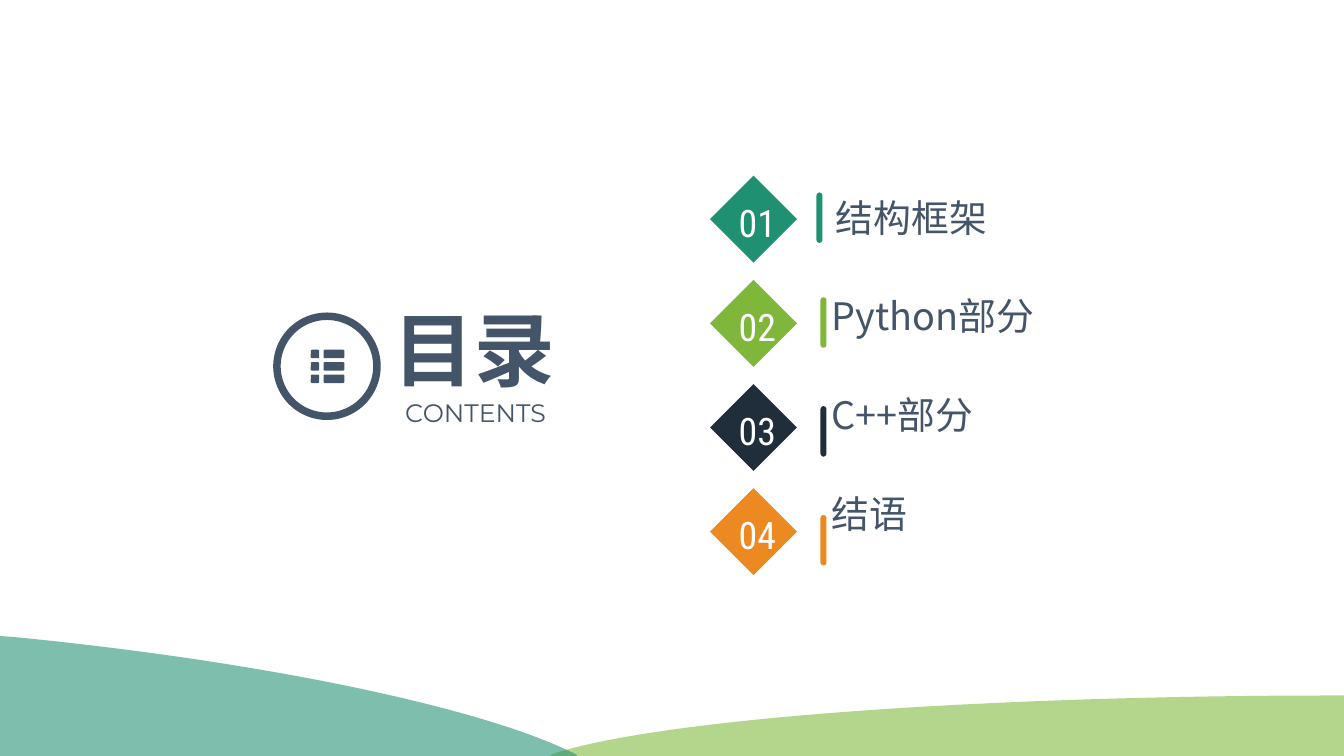
"""Builds the contents slide with a title badge, four numbered entries and two hills."""
from lxml import etree
from pptx import Presentation
from pptx.dml.color import RGBColor
from pptx.enum.shapes import MSO_SHAPE
from pptx.enum.text import MSO_ANCHOR, MSO_AUTO_SIZE, PP_ALIGN
from pptx.oxml.ns import qn
from pptx.util import Inches, Pt

RECTANGLE = MSO_SHAPE.RECTANGLE
ROUNDED = MSO_SHAPE.ROUNDED_RECTANGLE
DONUT = MSO_SHAPE.DONUT
TOP = MSO_ANCHOR.TOP
NO_AUTOFIT = MSO_AUTO_SIZE.NONE
LEFT, CENTER = PP_ALIGN.LEFT, PP_ALIGN.CENTER

COLUMNS, ROWS = 80, 45
CURVE_STEPS = 100
COLORS = {
    "slate": "445469",
    "white": "FFFFFF",
    "teal": "209072",
    "green": "7EB739",
    "navy": "202D3A",
    "orange": "EC8921",
}
FONTS = {
    "title": {"name": "Noto Sans CJK SC", "size": Pt(57.5), "bold": True},
    "entry": {"name": "Noto Sans CJK SC", "size": Pt(27), "bold": False},
    "number": {"name": "Roboto Condensed", "size": Pt(27)},
    "subtitle": {"name": "Montserrat", "size": Pt(18)},
}
FRAMES = {
    "title": {"margin_left": 0, "margin_right": 0, "margin_top": 0,
              "margin_bottom": 0, "word_wrap": False},
    "entry": {"margin_left": Inches(0.12), "margin_right": Inches(0.12),
              "margin_top": Inches(0.06), "margin_bottom": Inches(0.06),
              "word_wrap": True},
    "number": {"word_wrap": True},
    "subtitle": {"word_wrap": True},
}
ENTRIES = [
    ("结构框架", "teal", 48.6, 11.46),
    ("Python部分", "green", 48.84, 17.7),
    ("C++部分", "navy", 48.84, 24.18),
    ("结语", "orange", 48.84, 30.66),
]
NUMBER_PITCH = 6.2
ICON_COLUMNS = [(18.5, 0.5), (19.26, 1.24)]
HILLS = [
    ("green", [(30.72, 46.38), (30.72, 43.56), (52.68, 41.4), (79.8, 41.4)],
     [(80, 41.4), (80, ROWS)]),
    ("teal", [(36.78, 47.4), (37.08, 44.16), (21.06, 39.9), (0.84, 37.92)],
     [(0, 37.86), (0, ROWS)]),
]


def apply(target, values):
    for name, value in values.items():
        setattr(target, name, value)


def curve_points(controls):
    points = []
    for step in range(CURVE_STEPS + 1):
        t = step / CURVE_STEPS
        weights = ((1 - t) ** 3, 3 * t * (1 - t) ** 2, 3 * t * t * (1 - t), t ** 3)
        x, y = (sum(w * value for w, value in zip(weights, axis))
                for axis in zip(*controls))
        if y <= ROWS:
            points.append((x, y))
    return [(points[0][0], ROWS)] + points


class SlideBuilder:
    def __init__(self, presentation):
        self.cell_width = presentation.slide_width / COLUMNS
        self.cell_height = presentation.slide_height / ROWS
        self.slide = presentation.slides.add_slide(presentation.slide_layouts[1])

    def point(self, x, y):
        return round(x * self.cell_width), round(y * self.cell_height)

    def box(self, left, top, width, height):
        return (*self.point(left, top), *self.point(width, height))

    def paint(self, shape, color, opacity=100):
        shape.shadow.inherit = False
        shape.fill.solid()
        shape.fill.fore_color.rgb = RGBColor.from_string(COLORS[color])
        shape.line.fill.background()
        if opacity < 100:
            fill_color = shape._element.spPr.find(f"{qn('a:solidFill')}/{qn('a:srgbClr')}")
            etree.SubElement(fill_color, qn("a:alpha"), val=str(opacity * 1000))

    def shape(self, kind, area, color, adjustment=None, rotation=0):
        shape = self.slide.shapes.add_shape(kind, *self.box(*area))
        shape.rotation = rotation
        if adjustment is not None:
            shape.adjustments[0] = adjustment
        self.paint(shape, color)

    def hill(self, color, controls, corners):
        start, *others = [self.point(*p) for p in curve_points(controls) + corners]
        builder = self.slide.shapes.build_freeform(*start)
        builder.add_line_segments(others, close=True)
        self.paint(builder.convert_to_shape(), color, opacity=58)

    def fill_text(self, shape, lines, style, color="slate", align=LEFT):
        frame = shape.text_frame
        apply(frame, {"auto_size": NO_AUTOFIT, "vertical_anchor": TOP, **FRAMES[style]})
        frame.text = "\n".join(lines)
        for paragraph in frame.paragraphs:
            apply(paragraph, {"alignment": align, "space_before": Pt(0)})
            run = paragraph.runs[0]
            apply(run.font, FONTS[style])
            run.font.color.rgb = RGBColor.from_string(COLORS[color])
            etree.SubElement(run._r.get_or_add_rPr(), qn("a:ea"),
                             typeface=FONTS[style]["name"])
        return frame.paragraphs

    def text(self, area, text, style, color="slate"):
        shape = self.slide.shapes.add_textbox(*self.box(*area))
        self.fill_text(shape, [text], style, color)

    def place(self, shape, area):
        apply(shape, dict(zip(("left", "top", "width", "height"), self.box(*area))))

    def title(self, area, text):
        title = self.slide.shapes.title
        self.place(title, area)
        self.fill_text(title, [text], "title", align=CENTER)

    def entries(self, area, lines):
        body = self.slide.placeholders[1]
        self.place(body, area)
        for index, paragraph in enumerate(self.fill_text(body, lines, "entry")):
            paragraph.space_before = Pt(38 if index else 0)
            properties = paragraph._p.get_or_add_pPr()
            properties.set("marL", str(0 if index else Inches(0.04)))
            properties.set("indent", "0")
            etree.SubElement(properties, qn("a:buNone"))


def main():
    presentation = Presentation()
    presentation.slide_width = Inches(13.33)
    presentation.slide_height = Inches(7.5)
    builder = SlideBuilder(presentation)
    for hill in HILLS:
        builder.hill(*hill)

    builder.title((23.4, 17.88, 9.66, 7), "目录")
    builder.text((23.52, 23.34, 10.2, 4.26), "CONTENTS", "subtitle")
    builder.shape(DONUT, (16.26, 18.6, 6.4, 6.4), "slate", adjustment=0.07)
    for row in range(3):
        for left, width in ICON_COLUMNS:
            area = (left, 20.82 + row * 0.74, width, 0.5)
            builder.shape(ROUNDED, area, "slate", adjustment=0.15)

    builder.entries((48.78, 11.22, 28, 25), [entry[0] for entry in ENTRIES])
    for index, (_, color, bar_left, bar_top) in enumerate(ENTRIES):
        offset = index * NUMBER_PITCH
        builder.shape(ROUNDED, (bar_left, bar_top, 0.36, 3), color, adjustment=0.5)
        builder.shape(RECTANGLE, (43.02, 11.22 + offset, 3.66, 3.66), color, rotation=45)
        builder.text((43.38, 11.58 + offset, 3.84, 3.36), f"{index + 1:02}",
                     "number", "white")
    presentation.save("out.pptx")


if __name__ == "__main__":
    main()
